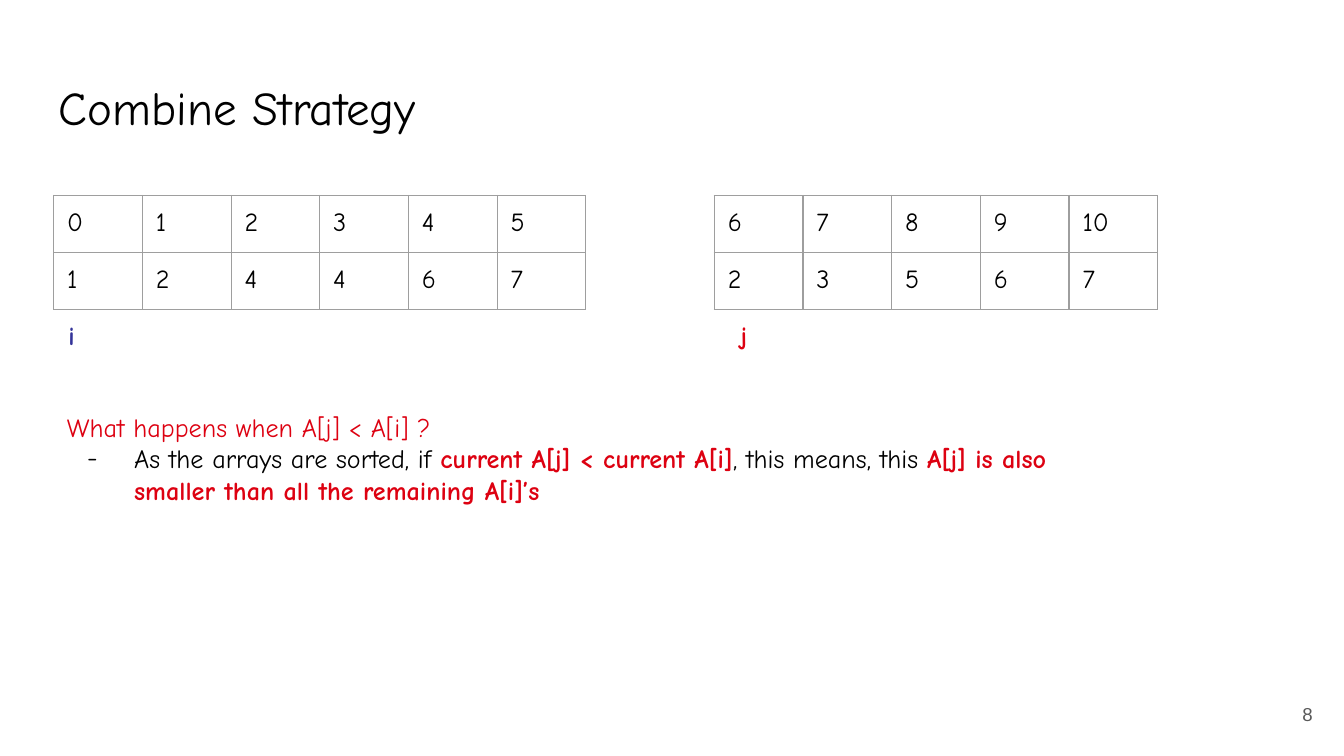
from dataclasses import dataclass

from lxml import etree
from pptx import Presentation
from pptx.dml.color import RGBColor
from pptx.enum.text import MSO_ANCHOR, PP_ALIGN
from pptx.oxml.ns import qn
from pptx.util import Pt

TOP, MID = MSO_ANCHOR.TOP, MSO_ANCHOR.MIDDLE
LEFT, RIGHT = PP_ALIGN.LEFT, PP_ALIGN.RIGHT
PX = 4572  # EMU per px, 200 px to the inch


@dataclass(frozen=True)
class Theme:
    font: str = "Comic Neue"
    plain: str = "Arial"
    ink: str = "000000"
    red: str = "DD0111"
    blue: str = "333399"
    gray: str = "595959"
    rule: str = "9E9E9E"
    title: float = 25.2
    body: int = 14
    small: int = 10
    line: float = 0.75
    pad: int = 20
    tight: int = 19


class Deck:
    def __init__(self, theme, wide, high):
        self.theme = theme
        self.file = Presentation()
        self.file.slide_width = wide * PX
        self.file.slide_height = high * PX
        self.slide = self.file.slides.add_slide(self.file.slide_layouts[6])

    def style(self, run, color, size=None, bold=False, font=None):
        run.font.name = font or self.theme.font
        run.font.size = Pt(size or self.theme.body)
        run.font.bold = bold
        run.font.color.rgb = RGBColor.from_string(color)

    def frame(self, box, anchor=TOP):
        """Add an empty text box with even padding."""
        shape = self.slide.shapes.add_textbox(*(n * PX for n in box))
        text = shape.text_frame
        text.word_wrap = True
        text.vertical_anchor = anchor
        text.margin_left = text.margin_right = self.theme.pad * PX
        text.margin_top = text.margin_bottom = self.theme.pad * PX
        return text

    def label(self, box, words, color, align=LEFT, anchor=TOP, **look):
        text = self.frame(box, anchor)
        text.text = words
        para = text.paragraphs[0]
        para.alignment = align
        self.style(para.runs[0], color, **look)
        return text

    def dash(self, text, parts, indent, hang):
        """Add a dashed item made of (words, color, bold) parts."""
        para = text.add_paragraph()
        props = para._p.get_or_add_pPr()
        props.set("marL", str(indent * PX))
        props.set("indent", str(-hang * PX))
        tint = etree.SubElement(props, qn("a:buClr"))
        etree.SubElement(tint, qn("a:srgbClr"), val=self.theme.ink)
        etree.SubElement(props, qn("a:buFont"), typeface=self.theme.font)
        etree.SubElement(props, qn("a:buChar"), char="-")
        for words, color, bold in parts:
            run = para.add_run()
            run.text = words
            self.style(run, color, bold=bold)

    def border(self, cell):
        props = cell._tc.get_or_add_tcPr()
        for spot, side in enumerate(("lnL", "lnR", "lnT", "lnB")):
            line = etree.Element(qn(f"a:{side}"), w=str(Pt(self.theme.line)))
            fill = etree.SubElement(line, qn("a:solidFill"))
            etree.SubElement(fill, qn("a:srgbClr"), val=self.theme.rule)
            props.insert(spot, line)

    def table(self, left, top, rows, wide, high):
        """Add a bordered grid with equal cells."""
        down, across = len(rows), len(rows[0])
        grid = self.slide.shapes.add_table(
            down, across, left * PX, top * PX,
            across * wide * PX, down * high * PX).table
        grid.first_row = grid.horz_banding = False
        for y, row in enumerate(rows):
            for x, value in enumerate(row):
                cell = grid.cell(y, x)
                cell.fill.background()
                cell.margin_left = cell.margin_right = self.theme.pad * PX
                cell.margin_top = cell.margin_bottom = self.theme.tight * PX
                cell.text = str(value)
                self.style(cell.text_frame.paragraphs[0].runs[0],
                           self.theme.ink)
                self.border(cell)

    def save(self):
        self.file.save("out.pptx")


def main():
    theme = Theme()
    deck = Deck(theme, 2000, 1125)

    # Title and page number
    deck.label((68, 97, 1864, 125), "Combine Strategy", theme.ink,
               size=theme.title)
    deck.label((1853, 1020, 120, 86), "8", theme.gray, RIGHT, MID,
               size=theme.small, font=theme.plain)

    # Sorted halves: indexes above values
    halves = (
        (80, 0, (1, 2, 4, 4, 6, 7)),
        (1063, 6, (2, 3, 5, 6, 7)),
    )
    for left, start, values in halves:
        index = range(start, start + len(values))
        deck.table(left, 291, (index, values), 132, 84)

    # Pointers below the halves
    for left, name, color in ((82, "i", theme.blue), (1082, "j", theme.red)):
        deck.label((left, 456, 74, 88), name, color, bold=True)

    # Question and answer
    text = deck.label((80, 592, 1628, 182), "What happens when A[j] < A[i] ?",
                      theme.red)
    deck.dash(text, (
        ("As the arrays are sorted, if ", theme.ink, False),
        ("current A[j] < current A[i]", theme.red, True),
        (", this means, this ", theme.ink, False),
        ("A[j] is also smaller than all the remaining A[i]’s",
         theme.red, True),
    ), 100, 70)

    deck.save()


if __name__ == "__main__":
    main()
